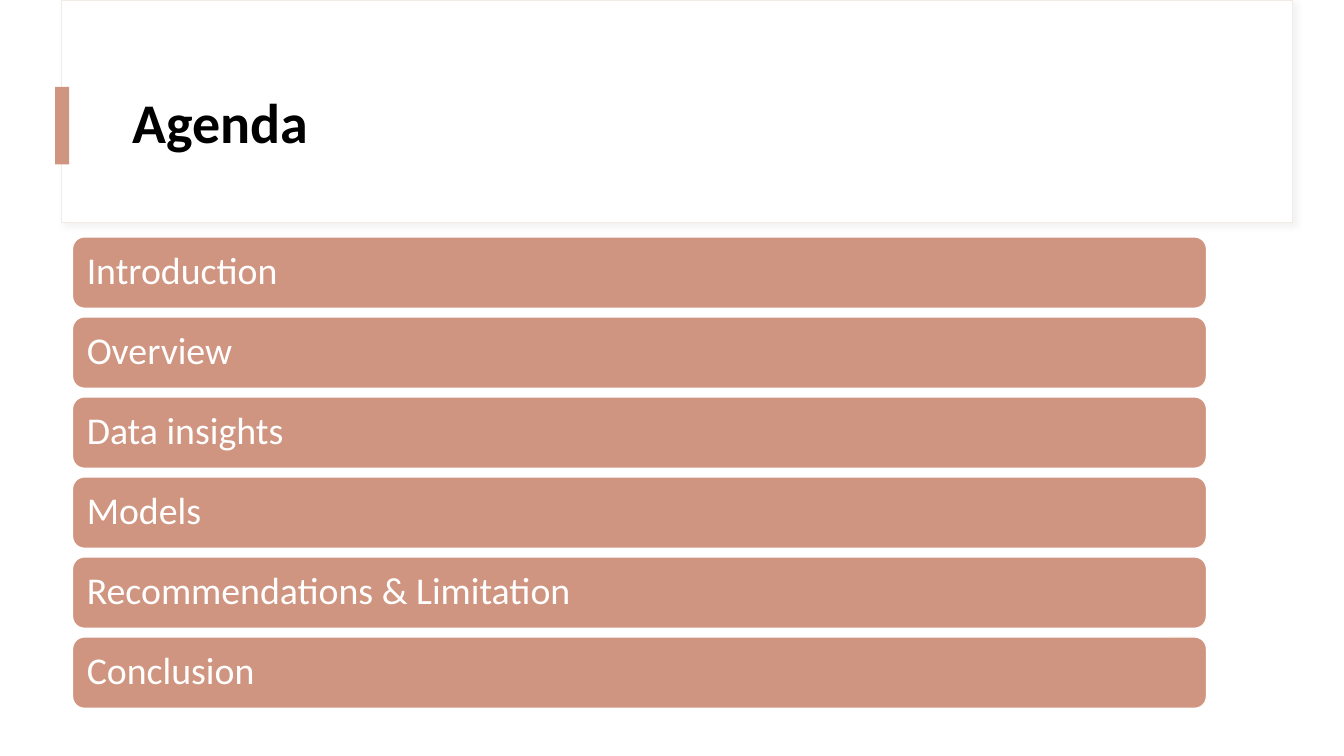
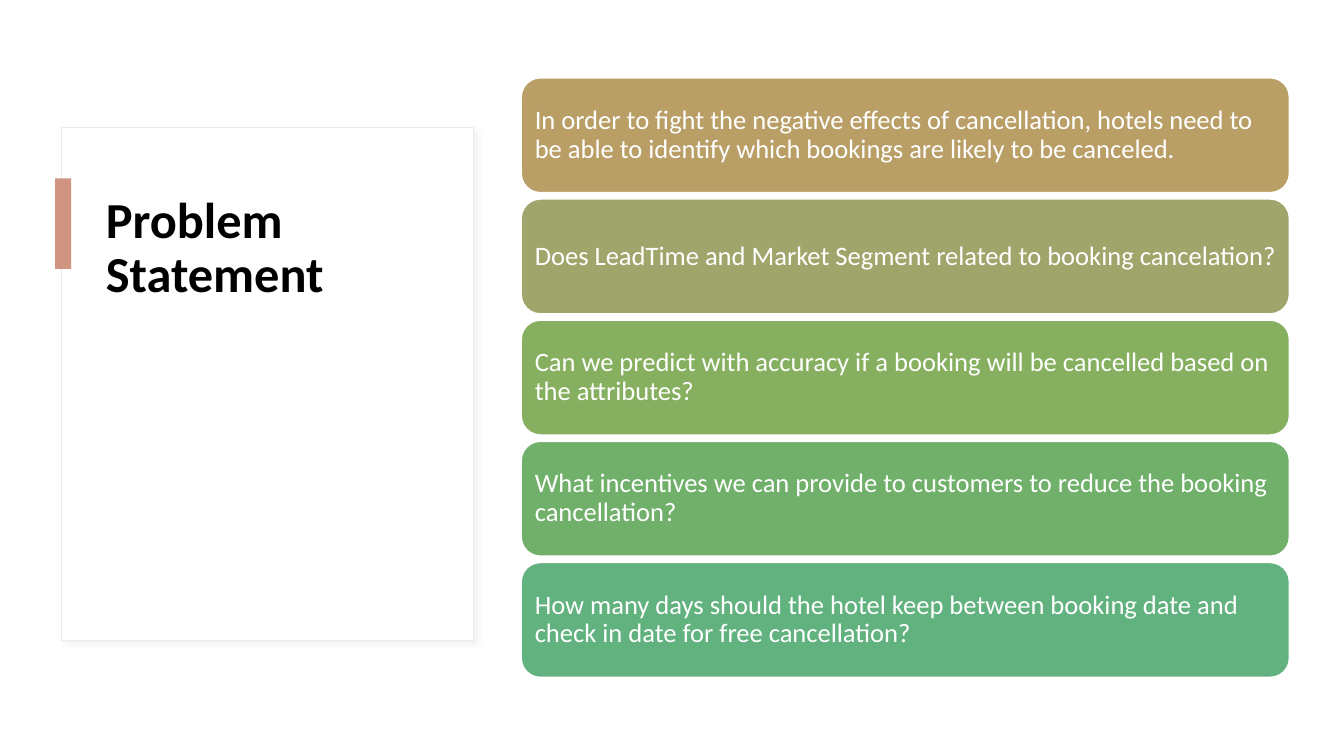
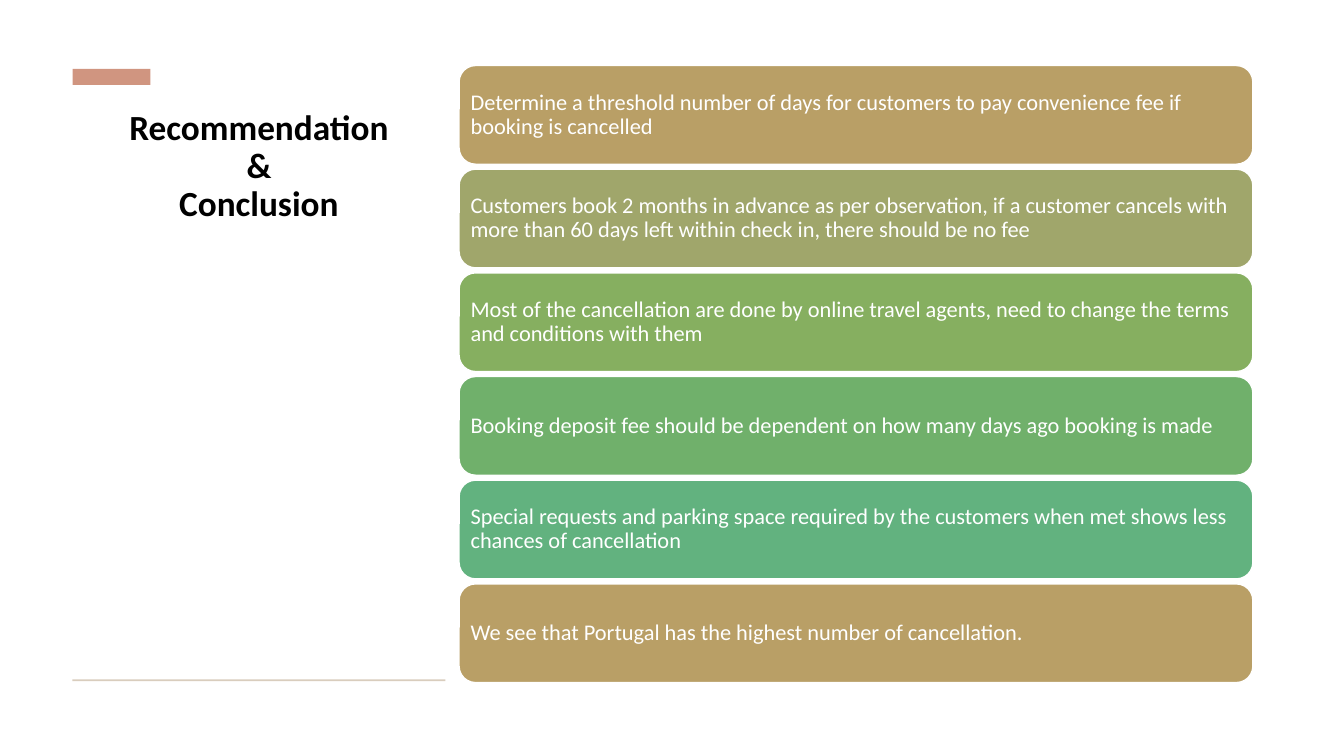
from lxml import etree
from pptx import Presentation
from pptx.dml.color import RGBColor
from pptx.enum.shapes import MSO_SHAPE
from pptx.enum.text import MSO_ANCHOR, MSO_AUTO_SIZE, PP_ALIGN
from pptx.oxml.ns import qn
from pptx.util import Pt

RECT, ROUNDED = MSO_SHAPE.RECTANGLE, MSO_SHAPE.ROUNDED_RECTANGLE
TOP, MIDDLE = MSO_ANCHOR.TOP, MSO_ANCHOR.MIDDLE
LEFT, CENTER = PP_ALIGN.LEFT, PP_ALIGN.CENTER
NO_AUTOFIT = MSO_AUTO_SIZE.NONE
TITLE_ONLY = 5

FONT = "Calibri"
WHITE = RGBColor(0xFF, 0xFF, 0xFF)
BLACK = RGBColor(0x00, 0x00, 0x00)
ACCENT = RGBColor(0xD0, 0x95, 0x80)
FRAME_LINE = RGBColor(0xF0, 0xEB, 0xE4)
RULE = RGBColor(0xD9, 0xCD, 0xBD)
SHADOW = RGBColor(0xD9, 0xD9, 0xD9)
SAND = RGBColor(0xB9, 0x9F, 0x66)
OLIVE = RGBColor(0xA0, 0xA6, 0x6B)
LEAF = RGBColor(0x86, 0xAF, 0x60)
GREEN = RGBColor(0x70, 0xB0, 0x6B)
TEAL = RGBColor(0x62, 0xB2, 0x7F)
COLORFUL = [SAND, OLIVE, LEAF, GREEN, TEAL]

SLIDES = [
    {
        "title": "Agenda",
        "title_box": (87.8, 43.2, 800.6, 92.9),
        "title_format": {"size": 40},
        "frame": (43.9, 0, 879.1, 159),
        "blocks": [((39.4, 62, 10, 55.4), ACCENT)],
        "stack": {"left": 51.8, "top": 169.2, "width": 810, "height": 51,
                  "step": 57.15, "size": 27, "inset": 7.7, "colors": [ACCENT]},
        "items": [
            "Introduction",
            "Overview",
            "Data insights",
            "Models",
            "Recommendations & Limitation",
            "Conclusion",
        ],
    },
    {
        "title": "Problem Statement",
        "title_box": (68.4, 135.4, 244, 277.2),
        "title_format": {"size": 36, "anchor": TOP},
        "frame": (43.9, 91.4, 294.5, 365.8),
        "blocks": [((39.4, 127.4, 11.5, 64.8), ACCENT)],
        "stack": {"left": 372.3, "top": 55.6, "width": 548.7, "height": 82,
                  "step": 86.55, "size": 19, "inset": 5.7, "colors": COLORFUL},
        "items": [
            "In order to fight the negative effects of cancellation, hotels need to "
            "be able to identify which bookings are likely to be canceled.",
            "Does LeadTime and Market Segment related to booking cancelation?",
            "Can we predict with accuracy if a booking will be cancelled based on "
            "the attributes?",
            "What incentives we can provide to customers to reduce the booking "
            "cancellation?",
            "How many days should the hotel keep between booking date and "
            "check in date for free cancellation?",
        ],
    },
    {
        "title": "Recommendation\v&\vConclusion",
        "title_box": (51.8, 75.6, 266.4, 87.8),
        "title_format": {"size": 25.2, "align": CENTER},
        "frame": None,
        "blocks": [((51.8, 49.2, 55.6, 11.5), ACCENT),
                   ((51.8, 485.2, 266.4, 1.4), RULE)],
        "stack": {"left": 327.9, "top": 46.8, "width": 567, "height": 70.5,
                  "step": 74.05, "size": 16, "inset": 4.8, "colors": COLORFUL},
        "items": [
            "Determine a threshold number of days for customers to pay convenience "
            "fee if booking is cancelled",
            "Customers book 2 months in advance as per observation, if a customer "
            "cancels with more than 60 days left within check in, there should be no fee",
            "Most of the cancellation are done by online travel agents, need to "
            "change the terms and conditions with them",
            "Booking deposit fee should be dependent on how many days ago booking "
            "is made",
            "Special requests and parking space required by the customers when met "
            "shows less chances of cancellation",
            "We see that Portugal has the highest number of cancellation.",
        ],
    },
]


def write(shape, text, size, color=WHITE, bold=False, align=LEFT, anchor=MIDDLE, inset=None):
    tf = shape.text_frame
    tf.word_wrap = True
    tf.auto_size = NO_AUTOFIT
    tf.vertical_anchor = anchor
    if inset is not None:
        tf.margin_left = tf.margin_right = tf.margin_top = tf.margin_bottom = Pt(inset)
    p = tf.paragraphs[0]
    p.text = text
    p.alignment = align
    p.line_spacing = 0.9
    for r in p.runs:
        r.font.name = FONT
        r.font.size = Pt(size)
        r.font.bold = bold
        r.font.color.rgb = color


def add_block(s, kind, box, fill, line=None, width=1):
    sp = s.shapes.add_shape(kind, *(Pt(v) for v in box))
    sp.shadow.inherit = False
    sp.fill.solid()
    sp.fill.fore_color.rgb = fill
    if line is None:
        sp.line.fill.background()
    else:
        sp.line.color.rgb = line
        sp.line.width = Pt(width)
    return sp


def add_frame(s, box):
    sp = add_block(s, RECT, box, WHITE, line=FRAME_LINE, width=0.75)
    effects = sp._element.spPr.find(qn("a:effectLst"))
    shadow = etree.SubElement(effects, qn("a:outerShdw"), blurRad=str(Pt(4)),
                              dist=str(Pt(3)), dir="2700000", algn="tl", rotWithShape="0")
    color = etree.SubElement(shadow, qn("a:srgbClr"), val=str(SHADOW))
    etree.SubElement(color, qn("a:alpha"), val="30000")


def add_title(s, text, box, **text_format):
    title = s.shapes.title
    title.left, title.top, title.width, title.height = (Pt(v) for v in box)
    write(title, text, color=BLACK, bold=True, **text_format)
    title._element.getparent().append(title._element)


def add_stack(s, items, left, top, width, height, step, size, inset, colors):
    for i, item in enumerate(items):
        bar = add_block(s, ROUNDED, (left, top + i * step, width, height),
                        colors[i % len(colors)], line=WHITE)
        write(bar, item, size, inset=inset)


def main():
    prs = Presentation()
    prs.slide_width, prs.slide_height = Pt(960), Pt(540)
    for content in SLIDES:
        s = prs.slides.add_slide(prs.slide_layouts[TITLE_ONLY])
        if content["frame"]:
            add_frame(s, content["frame"])
        add_title(s, content["title"], content["title_box"], **content["title_format"])
        for box, color in content["blocks"]:
            add_block(s, RECT, box, color)
        add_stack(s, content["items"], **content["stack"])
    prs.save("out.pptx")


if __name__ == "__main__":
    main()
